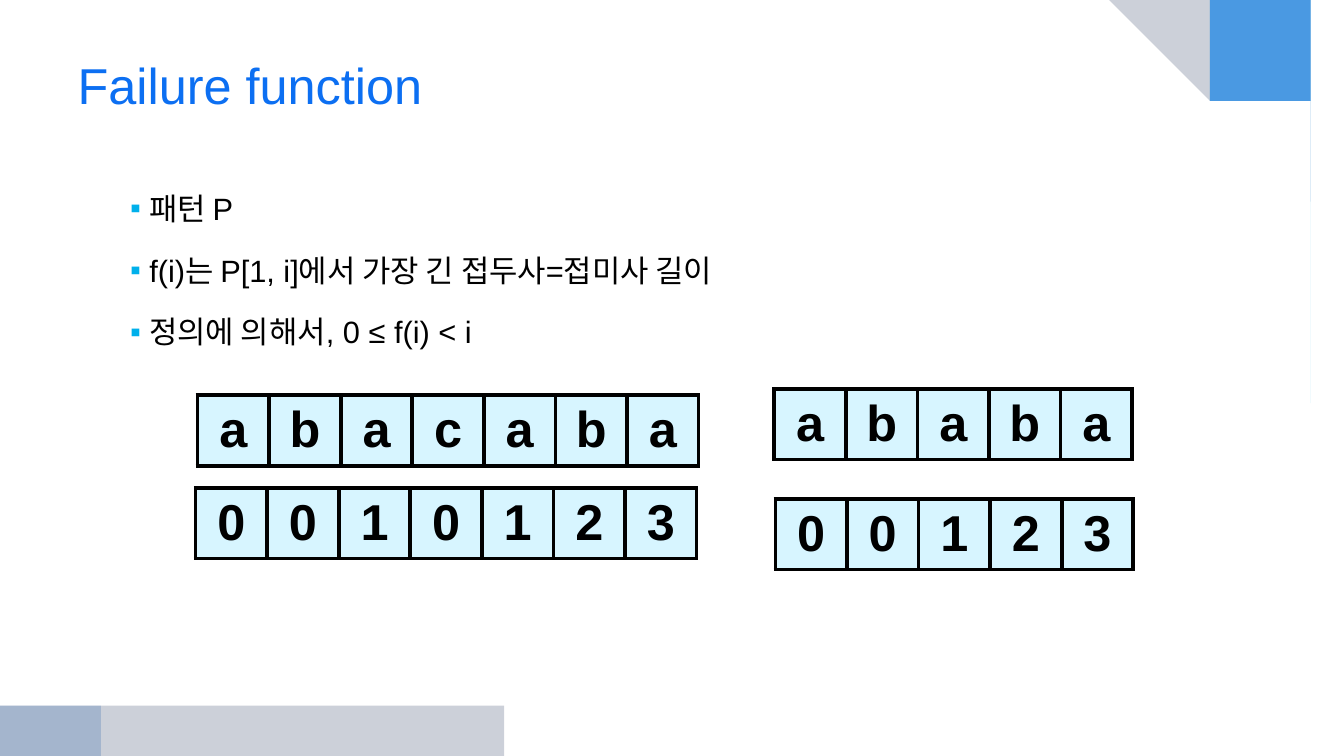
from lxml.etree import SubElement
from pptx import Presentation
from pptx.dml.color import RGBColor
from pptx.enum.text import MSO_ANCHOR, MSO_AUTO_SIZE, PP_ALIGN
from pptx.oxml.ns import qn
from pptx.util import Inches, Pt

BLACK = RGBColor(0x00, 0x00, 0x00)
TITLE_BLUE = RGBColor(0x0C, 0x6F, 0xF2)
BULLET_CYAN = RGBColor(0x00, 0xB0, 0xEB)
CELL_BLUE = RGBColor(0xD7, 0xF5, 0xFF)
CYAN = RGBColor(0x00, 0xB1, 0xE9)
NAVY = RGBColor(0x02, 0x17, 0x41)
SKY = RGBColor(0x24, 0x7F, 0xF4)
DEEP_BLUE = RGBColor(0x08, 0x4A, 0xA1)

FONT = "Arial"
CELL_WIDTH, ROW_HEIGHT = 0.71, 0.7
CURVE_STEPS = 5

# Page corner, colour, opacity in percent, points along the curved edge
SWEEPS = [
    ((13.33, 0), CYAN, 45,
     [(11.89, 0), (12.05, 0.1), (12.25, 0.28), (12.5, 0.59), (12.72, 1),
      (12.91, 1.46), (13.05, 1.93), (13.17, 2.49), (13.27, 3.15), (13.33, 4.08)]),
    ((13.33, 0), NAVY, 20,
     [(8.89, 0), (9.75, 0.08), (10.49, 0.2), (11.12, 0.38), (11.75, 0.63),
      (12.25, 0.91), (12.63, 1.19), (12.96, 1.52), (13.19, 1.84), (13.33, 2.15)]),
    ((13.33, 0), SKY, 49,
     [(8.89, 0), (9.75, 0.05), (10.49, 0.15), (11.12, 0.27), (11.75, 0.45),
      (12.25, 0.65), (12.64, 0.86), (12.96, 1.1), (13.19, 1.33), (13.33, 1.55)]),
    ((0, 7.5), NAVY, 20,
     [(0, 6.08), (0.16, 6.28), (0.42, 6.49), (0.78, 6.71), (1.3, 6.93),
      (2, 7.14), (2.76, 7.3), (3.52, 7.4), (4.22, 7.46), (5, 7.5)]),
    ((0, 7.5), DEEP_BLUE, 20,
     [(0, 4.58), (0.05, 5.15), (0.14, 5.63), (0.26, 6.05), (0.43, 6.46),
      (0.62, 6.79), (0.82, 7.04), (1.04, 7.25), (1.26, 7.41), (1.48, 7.5)]),
]

DEFINITIONS = [
    "패턴 P",
    "f(i)는 P[1, i]에서 가장 긴 접두사=접미사 길이",
    "정의에 의해서, 0 ≤ f(i) < i",
]

# Left, top, letters or failure values
STRIPS = [
    (1.96, 3.92, "abacaba"),
    (1.94, 4.84, "0010123"),
    (7.68, 3.86, "ababa"),
    (7.69, 4.95, "00123"),
]


def smooth_curve(knots):
    """Catmull-Rom curve through the knots."""
    padded = [knots[0], *knots, knots[-1]]
    curve = []
    for before, start, end, after in zip(padded, padded[1:], padded[2:], padded[3:]):
        for step in range(CURVE_STEPS):
            t = step / CURVE_STEPS
            curve.append(tuple(
                b + 0.5 * t * (c - a + t * (2 * a - 5 * b + 4 * c - d
                                            + t * (3 * (b - c) + d - a)))
                for a, b, c, d in zip(before, start, end, after)))
    return curve + [knots[-1]]


def add_sweep(slide, corner, color, opacity, knots):
    edge = smooth_curve(knots)
    builder = slide.shapes.build_freeform(*corner, scale=Inches(1))
    builder.add_line_segments(edge, close=True)
    sweep = builder.convert_to_shape()
    sweep.shadow.inherit = False
    sweep.line.fill.background()
    sweep.fill.solid()
    sweep.fill.fore_color.rgb = color
    fill_color = next(sweep.element.iter(qn("a:srgbClr")))
    SubElement(fill_color, qn("a:alpha"), val=str(opacity * 1000))


def place(placeholder, left, top, width, height):
    placeholder.left, placeholder.top = Inches(left), Inches(top)
    placeholder.width, placeholder.height = Inches(width), Inches(height)
    placeholder.text_frame.auto_size = MSO_AUTO_SIZE.NONE


def style(paragraph, size, color, bold=False):
    font = paragraph.font
    font.name, font.size, font.bold = FONT, Pt(size), bold
    font.color.rgb = color


def fill_title(title, left, top, width, height):
    place(title, left, top, width, height)
    title.text_frame.text = "Failure function"
    title.text_frame.vertical_anchor = MSO_ANCHOR.MIDDLE
    heading = title.text_frame.paragraphs[0]
    heading.alignment = PP_ALIGN.LEFT
    style(heading, 36, TITLE_BLUE)


def fill_definitions(body, left, top, width, height):
    place(body, left, top, width, height)
    body.text_frame.text = "\n".join(DEFINITIONS)
    for definition in body.text_frame.paragraphs:
        definition.level = 1
        definition.line_spacing = 1.5
        # Square bullet with a hanging indent
        properties = definition._p.get_or_add_pPr()
        properties.set("marL", str(Inches(0.69)))
        properties.set("indent", str(Inches(-0.19)))
        bullet_color = SubElement(properties, qn("a:buClr"))
        SubElement(bullet_color, qn("a:srgbClr"), val=str(BULLET_CYAN))
        SubElement(properties, qn("a:buFont"), typeface=FONT)
        SubElement(properties, qn("a:buChar"), char="▪")
        style(definition, 22, BLACK)


def add_borders(cell):
    properties = cell._tc.get_or_add_tcPr()
    for side in ("a:lnL", "a:lnR", "a:lnT", "a:lnB"):
        border = SubElement(properties, qn(side), w=str(Pt(3)))
        SubElement(SubElement(border, qn("a:solidFill")), qn("a:srgbClr"), val=str(BLACK))


def add_strip(slide, left, top, symbols):
    strip = slide.shapes.add_table(
        1, len(symbols), Inches(left), Inches(top),
        Inches(CELL_WIDTH * len(symbols)), Inches(ROW_HEIGHT)).table
    for column, cell, symbol in zip(strip.columns, strip.rows[0].cells, symbols):
        column.width = Inches(CELL_WIDTH)
        add_borders(cell)
        cell.fill.solid()
        cell.fill.fore_color.rgb = CELL_BLUE
        cell.vertical_anchor = MSO_ANCHOR.MIDDLE
        cell.text = symbol
        letter = cell.text_frame.paragraphs[0]
        letter.alignment = PP_ALIGN.CENTER
        style(letter, 36, BLACK, bold=True)


def main():
    deck = Presentation()
    deck.slide_width, deck.slide_height = Inches(13.33), Inches(7.5)
    slide = deck.slides.add_slide(deck.slide_layouts[1])
    title, body = slide.placeholders

    # Corner sweeps, behind the text
    for sweep in SWEEPS:
        add_sweep(slide, *sweep)
    for placeholder in (title, body):
        slide.shapes.element.append(placeholder.element)

    # Title and definitions
    fill_title(title, 0.67, 0.33, 12, 1.01)
    fill_definitions(body, 0.69, 1.65, 12, 5.22)

    # Patterns with their failure values
    for strip in STRIPS:
        add_strip(slide, *strip)

    deck.save("out.pptx")


if __name__ == "__main__":
    main()
